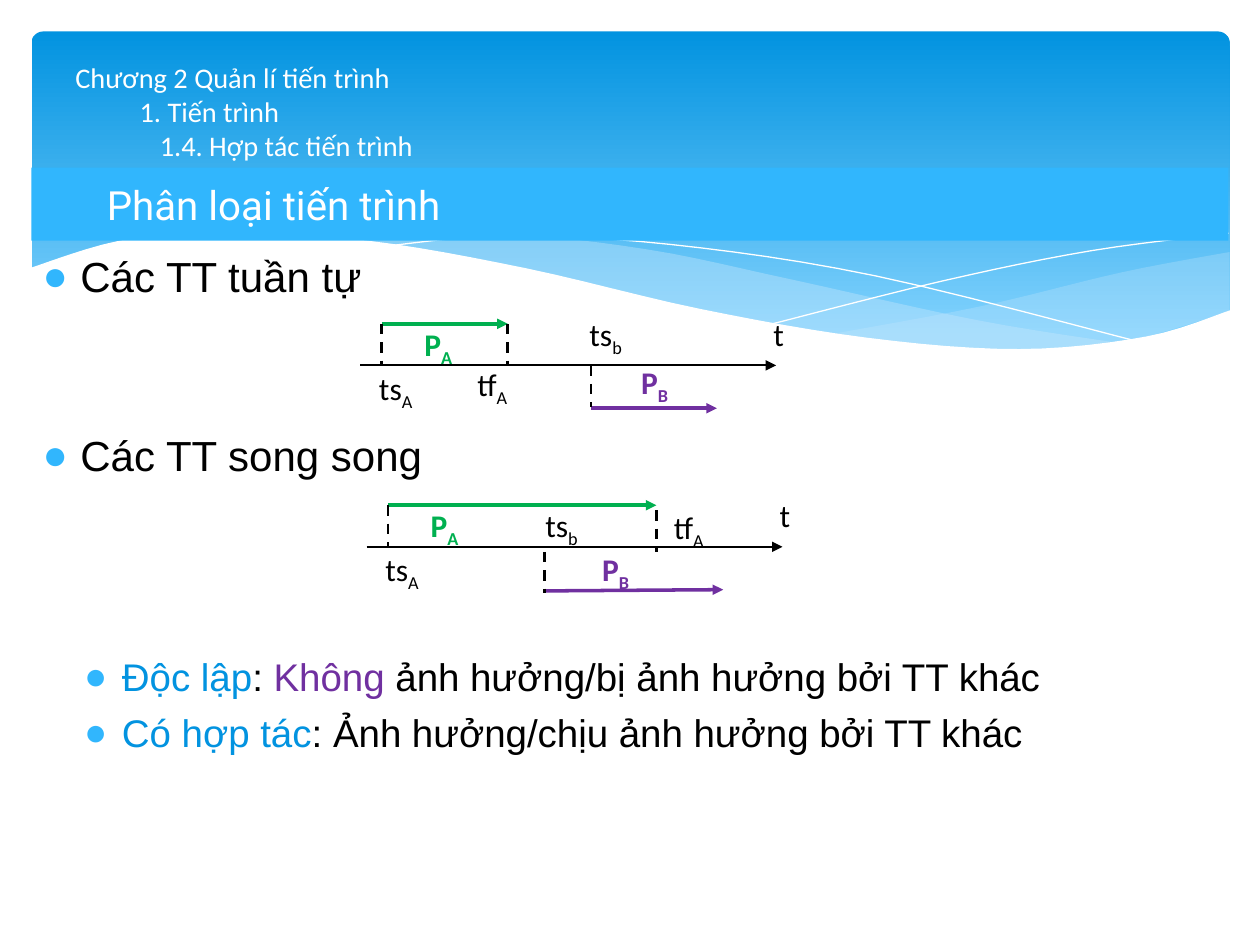
from lxml import etree
from pptx import Presentation
from pptx.dml.color import RGBColor
from pptx.enum.dml import MSO_LINE_DASH_STYLE as Dash
from pptx.enum.shapes import MSO_CONNECTOR, MSO_SHAPE as Shape
from pptx.enum.text import MSO_ANCHOR as Anchor, PP_ALIGN as Align
from pptx.oxml.ns import qn
from pptx.util import Inches, Pt

color = RGBColor.from_string
BLACK, WHITE, GREEN, PURPLE = "000000", "FFFFFF", "00B050", "7030A0"
SKY, BLUE, PALE = "31B6FD", "0293E0", "C6E7FC"
CURVE_STEPS = 6


def add_spans(para, spans, **formats):
    """Add (text, colour, is_subscript) spans that share font formats."""
    for text, hue, is_subscript in spans:
        span = para.add_run()
        span.text = text
        for name, value in formats.items():
            setattr(span.font, name, value)
        span.font.color.rgb = color(hue)
        if is_subscript:
            span.font._element.set("baseline", "-25000")


def add_line(start, end, hue, width, dashed=False):
    """Add a dashed marker, or an arrow when not dashed."""
    line = page.shapes.add_connector(
        MSO_CONNECTOR.STRAIGHT, *[Inches(v) for v in (*start, *end)])
    line.line.color.rgb = color(hue)
    line.line.width = Pt(width)
    if dashed:
        line.line.dash_style = Dash.DASH
    else:
        etree.SubElement(line.line._get_or_add_ln(), qn("a:tailEnd"), type="triangle")
    etree.SubElement(line._element.spPr, qn("a:effectLst"))


deck = Presentation()
deck.slide_width, deck.slide_height = Inches(10), Inches(7.5)
page = deck.slides.add_slide(deck.slide_layouts[6])

# Gradient header
header = page.shapes.add_shape(
    Shape.ROUNDED_RECTANGLE, Inches(0.25), Inches(0.25), Inches(9.51), Inches(2.7))
header.adjustments[0] = 0.034
header.shadow.inherit = False
header.line.fill.background()
header.fill.gradient()
header.fill.gradient_angle = 270
for stop, hue, position in zip(header.fill.gradient_stops, (BLUE, "83D3FE"), (0, 0.9)):
    stop.color.rgb = color(hue)
    stop.position = position

# Waves: fill, opacity in percent, edges as knots of a smooth curve.
# No fill means a thin white curve.
waves = [
    (PALE, 29, [[(9.76, 2), (8.91, 2.16), (7.79, 2.43), (6.61, 2.65)],
                [(6.61, 2.65), (7.32, 2.74), (8.14, 2.78), (8.97, 2.7), (9.76, 2.47)]]),
    (PALE, 40, [[(8.93, 2.73), (7.75, 2.54), (6.29, 2.22), (5.14, 1.98), (3.99, 1.86),
                 (2.86, 1.91)],
                [(2.86, 1.91), (4.04, 2.11), (5.66, 2.48), (6.95, 2.7), (8.07, 2.79),
                 (8.93, 2.73)]]),
    (None, 100, [[(3.09, 1.95), (4.01, 1.87), (5.32, 1.94), (6.95, 2.19), (9.07, 2.72)]]),
    (None, 100, [[(6.13, 2.57), (7.48, 2.23), (8.66, 1.99), (9.75, 1.85)]]),
    (WHITE, 100, [[(9.77, 2.46), (9.1, 2.67), (8.09, 2.77), (6.88, 2.68), (5.55, 2.45),
                   (4.18, 2.13), (2.92, 1.91), (1.77, 1.84), (0.95, 1.91), (0.23, 2.13)],
                  [(0.23, 3.29)], [(9.77, 3.29)]]),
]
for hue, opacity, edges in waves:
    points = []
    for knots in edges:
        points.append(knots[0])
        padded = [knots[0], *knots, knots[-1]]
        # Catmull-Rom curve through each group of four knots
        for group in zip(padded, padded[1:], padded[2:], padded[3:]):
            for step in range(1, CURVE_STEPS + 1):
                t = step / CURVE_STEPS
                points.append([
                    b + t * (c - a) / 2 + t**2 * (2 * a - 5 * b + 4 * c - d) / 2
                    + t**3 * (3 * b - a - 3 * c + d) / 2
                    for a, b, c, d in zip(*group)])
    corners = [(Inches(x), Inches(y)) for x, y in points]
    outline = page.shapes.build_freeform(*corners[0])
    outline.add_line_segments(corners[1:], close=hue is not None)
    wave = outline.convert_to_shape()
    wave.shadow.inherit = False
    if hue is None:
        wave.fill.background()
        wave.line.color.rgb = color(WHITE)
        wave.line.width = Pt(0)
        continue
    wave.line.fill.background()
    wave.fill.solid()
    wave.fill.fore_color.rgb = color(hue)
    if opacity < 100:
        tint = wave._element.spPr.find(qn("a:solidFill"))[0]
        etree.SubElement(tint, qn("a:alpha"), val=str(opacity * 1000))

# Chapter heading, one indent per level
heading = page.shapes.add_textbox(Inches(0.5), Inches(0.43), Inches(9), Inches(0.9)).text_frame
heading.word_wrap = True
levels = [("Chương 2 Quản lí tiến trình", 0), ("1. Tiến trình", 0.51),
          ("1.4. Hợp tác tiến trình", 0.67)]
for index, (text, indent) in enumerate(levels):
    para = heading.add_paragraph() if index else heading.paragraphs[0]
    para._p.get_or_add_pPr().set("marL", str(Inches(indent)))
    add_spans(para, [(text, WHITE, False)], name="Calibri", size=Pt(16.2))

# Bulleted body: left margin, size, space before, spans
body = page.shapes.add_textbox(Inches(0.24), Inches(1.94), Inches(9.67), Inches(5.19)).text_frame
body.word_wrap = True
bullets = [
    (0.3, 24, 0, [("Các TT tuần tự", BLACK, False)]),
    (0.3, 24, 73.5, [("Các TT song song", BLACK, False)]),
    (0.63, 22, 99, [("Độc lập", BLUE, False), (": ", BLACK, False), ("Không", PURPLE, False),
                    (" ảnh hưởng/bị ảnh hưởng bởi TT khác", BLACK, False)]),
    (0.63, 22, 5.5, [("Có hợp tác", BLUE, False),
                     (": Ảnh hưởng/chịu ảnh hưởng bởi TT khác", BLACK, False)]),
]
for index, (margin, size, gap, spans) in enumerate(bullets):
    para = body.add_paragraph() if index else body.paragraphs[0]
    para.space_before = Pt(gap)
    props = para._p.get_or_add_pPr()
    props.set("marL", str(Inches(margin)))
    props.set("indent", str(Inches(-0.3)))
    etree.SubElement(etree.SubElement(props, qn("a:buClr")), qn("a:srgbClr"), val=SKY)
    etree.SubElement(props, qn("a:buFont"), typeface="Arial")
    etree.SubElement(props, qn("a:buChar"), char="●")
    add_spans(para, spans, name="Arial", size=Pt(size))

# Section banner
banner = page.shapes.add_shape(
    Shape.RECTANGLE, Inches(0.25), Inches(1.33), Inches(9.5), Inches(0.58))
banner.shadow.inherit = False
banner.fill.solid()
banner.fill.fore_color.rgb = color(SKY)
banner.line.fill.background()
banner.text_frame.vertical_anchor = Anchor.MIDDLE
para = banner.text_frame.paragraphs[0]
para.alignment = Align.LEFT
para._p.get_or_add_pPr().set("marL", str(Inches(0.5)))
add_spans(para, [("Phân loại tiến trình", WHITE, False)], name="Roboto", size=Pt(23))

# Timelines: axis start, end of A, start of B, marker drop, offsets of labels PB, tfA, tsb
timelines = [
    (2.86, 2.9, 1.17, 1.83, 0, (2.13, -0.07), (0.83, -0.05), (1.72, -0.45)),
    (2.91, 4.34, 2.3, 1.41, 0.04, (1.77, -0.02), (2.34, -0.36), (1.32, -0.37)),
]
rise = 0.33
for left, axis, a_end, b_start, drop, b_label, finish_label, start_label in timelines:
    top, a_left, a_right, b_left = axis - rise, left + 0.17, left + a_end, left + b_start
    add_line((left, axis), (left + rise * 10, axis), BLACK, 1.25)
    add_line((a_left, top), (a_right, top), GREEN, 2)
    add_line((b_left, axis + 0.34 + drop / 4), (left + 2.83, axis + 0.34), PURPLE, 2)
    for x, y in [(a_left, top), (a_right, top + drop), (b_left, axis + drop)]:
        add_line((x, y), (x, y + rise), BLACK, 1.5, dashed=True)
    labels = [("P", "A", GREEN, (0.41, -0.37)), ("P", "B", PURPLE, b_label),
              ("ts", "A", BLACK, (0.05, -0.02)), ("tf", "A", BLACK, finish_label),
              ("ts", "b", BLACK, start_label), ("t", "", BLACK, (3.18, -0.45))]
    for symbol, subscript, hue, (x, y) in labels:
        box = page.shapes.add_textbox(
            Inches(left + x), Inches(axis + y), Inches(0.6), Inches(0.4))
        box.text_frame.word_wrap = True
        spans = [(symbol, hue, False)] + ([(subscript, hue, True)] if subscript else [])
        add_spans(box.text_frame.paragraphs[0], spans,
                  name="Calibri", size=Pt(18), bold=hue != BLACK)

deck.save("out.pptx")
